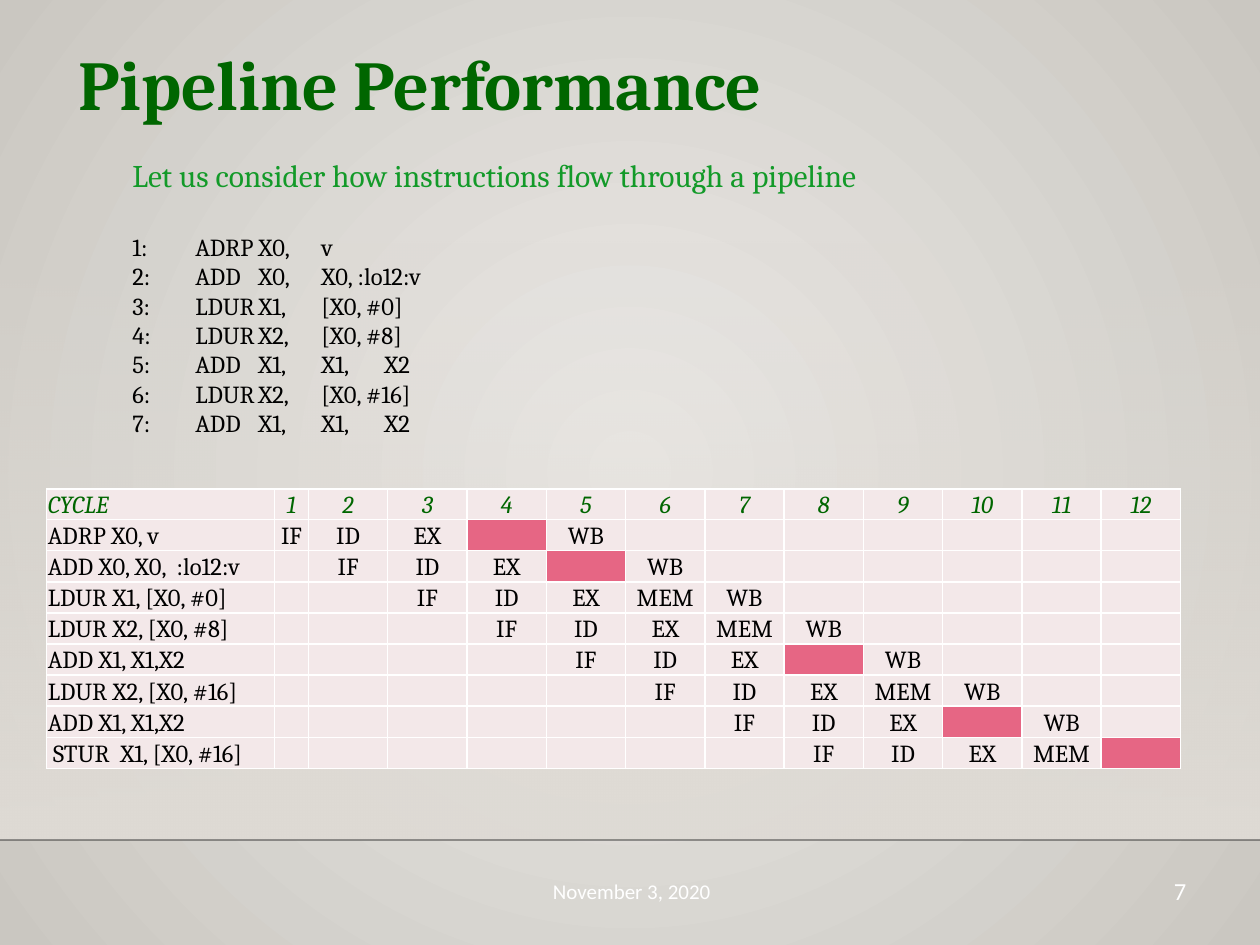
from lxml.etree import SubElement
from pptx import Presentation
from pptx.dml.color import RGBColor
from pptx.enum.shapes import MSO_CONNECTOR, MSO_SHAPE
from pptx.enum.text import MSO_ANCHOR, MSO_AUTO_SIZE, PP_ALIGN
from pptx.oxml import parse_xml
from pptx.oxml.ns import nsdecls, qn
from pptx.util import Pt

TITLE = "Pipeline Performance"
LEAD = "Let us consider how instructions flow through a pipeline"
CODE = [
    "1:\tADRP\tX0,\tv",
    "2:\tADD\tX0,\tX0, :lo12:v",
    "3:\tLDUR\tX1,\t[X0, #0]",
    "4:\tLDUR\tX2,\t[X0, #8]",
    "5:\tADD\tX1,\tX1,\tX2",
    "6:\tLDUR\tX2,\t[X0, #16]",
    "7:\tADD\tX1,\tX1,\tX2",
]
STAGES = ["IF", "ID", "EX", "MEM", "WB"]
FLOW = [
    ("ADRP X0, v", "MEM"),
    ("ADD X0, X0,  :lo12:v", "MEM"),
    ("LDUR X1, [X0, #0]", None),
    ("LDUR X2, [X0, #8]", None),
    ("ADD X1, X1,X2", "MEM"),
    ("LDUR X2, [X0, #16]", None),
    ("ADD X1, X1,X2", "MEM"),
    (" STUR  X1, [X0, #16]", "WB"),
]
DATE, PAGE = "November 3, 2020", "7"

THEME = {
    "serif": "Cambria", "sans": "Calibri",
    "dark": "006600", "green": "139A29", "ink": "000000", "white": "FFFFFF",
    "cell": "F3E8E9", "idle": "E66684", "rule": "000001",
    "glow": "ECEAE7", "edge": "CAC7C1", "haze": "DFDBD5",
    "head": 40, "lead": 18, "text": 14, "date": 12,
}
TABS = [36, 108, 144, 180]
WIDTHS = [130.3, 19.4] + [45.3] * 11
ROW = 17.5


def rgb(name):
    return RGBColor.from_string(THEME[name])


def put(para, text, size="text", color="ink", font="serif", bold=False,
        italic=False, align=PP_ALIGN.LEFT, before=0, tabs=()):
    props = para._p.get_or_add_pPr()
    props.set("marL", "0")
    props.set("indent", "0")
    SubElement(props, qn("a:buNone"))
    if tabs:
        stops = SubElement(props, qn("a:tabLst"))
        for stop in tabs:
            SubElement(stops, qn("a:tab"), pos=str(Pt(stop)), algn="l")
    para.alignment = align
    para.space_before = Pt(before)
    para.line_spacing = 1.0
    if not text:
        SubElement(para._p, qn("a:endParaRPr"), sz=str(THEME[size] * 100))
        return
    run = para.add_run()
    run.text = text
    face = run.font
    face.size, face.name = Pt(THEME[size]), THEME[font]
    face.bold, face.italic = bold, italic
    face.color.rgb = rgb(color)


def place(shape, left, top, width, height, anchor=MSO_ANCHOR.TOP):
    shape.left, shape.top = Pt(left), Pt(top)
    shape.width, shape.height = Pt(width), Pt(height)
    frame = shape.text_frame
    frame.word_wrap = True
    frame.auto_size = MSO_AUTO_SIZE.NONE
    frame.vertical_anchor = anchor
    return frame


def blend(fill, *names):
    fill.gradient()
    for stop, name in zip(fill.gradient_stops, names):
        stop.color.rgb = rgb(name)


def fade(color, share):
    SubElement(color, qn("a:alpha"), val=str(share * 1000))


def backdrop(slide):
    blend(slide.background.fill, "glow", "edge")
    lin = next(slide.element.iter(qn("a:lin")))
    lin.getparent().replace(lin, parse_xml(
        f'<a:path {nsdecls("a")} path="circle">'
        '<a:fillToRect l="50000" t="50000" r="50000" b="50000"/></a:path>'))
    haze = slide.shapes.add_shape(MSO_SHAPE.RECTANGLE, 0, Pt(137.5), Pt(720), Pt(342))
    haze.shadow.inherit = False
    haze.line.fill.background()
    blend(haze.fill, "haze", "haze")
    next(haze.element.iter(qn("a:lin"))).set("ang", "5400000")
    fade(next(haze.element.iter(qn("a:srgbClr"))), 0)
    back = [haze]
    for _ in range(2):
        rule = slide.shapes.add_connector(
            MSO_CONNECTOR.STRAIGHT, 0, Pt(480), Pt(720), Pt(480))
        rule.line.width = Pt(1)
        rule.line.color.rgb = rgb("rule")
        fade(next(rule.element.iter(qn("a:srgbClr"))), 20)
        SubElement(rule.element.spPr, qn("a:effectLst"))
        back.append(rule)
    tree = slide.shapes.element
    for shape in reversed(back):
        tree.insert(2, shape.element)


def paint(cell, text, fill="cell", **style):
    cell.margin_left = cell.margin_right = cell.margin_top = Pt(0.72)
    cell.margin_bottom = 0
    cell.vertical_anchor = MSO_ANCHOR.BOTTOM
    cell.fill.solid()
    cell.fill.fore_color.rgb = rgb(fill)
    for spot, side in enumerate("LRTB"):
        cell._tc.tcPr.insert(spot, parse_xml(
            f'<a:ln{side} {nsdecls("a")} w="{Pt(1)}"><a:solidFill>'
            f'<a:srgbClr val="{THEME["white"]}"/></a:solidFill></a:ln{side}>'))
    put(cell.text_frame.paragraphs[0], text, **style)


def chart(slide):
    rows, cols = len(FLOW) + 1, len(WIDTHS)
    grid = slide.shapes.add_table(
        rows, cols, Pt(26.6), Pt(279.4), Pt(sum(WIDTHS)), Pt(ROW * rows)).table
    for col, width in zip(grid.columns, WIDTHS):
        col.width = Pt(width)
    for row in grid.rows:
        row.height = Pt(ROW)
    for c in range(cols):
        paint(grid.cell(0, c), str(c) if c else "CYCLE", color="dark", italic=True,
              align=PP_ALIGN.CENTER if c else PP_ALIGN.LEFT)
    for r, (name, idle) in enumerate(FLOW, 1):
        paint(grid.cell(r, 0), name)
        for c in range(1, cols):
            stage = STAGES[c - r] if 0 <= c - r < len(STAGES) else ""
            rest = bool(stage) and stage == idle
            paint(grid.cell(r, c), "" if rest else stage,
                  fill="idle" if rest else "cell", align=PP_ALIGN.CENTER)


def main():
    deck = Presentation()
    deck.slide_width, deck.slide_height = Pt(720), Pt(540)
    slide = deck.slides.add_slide(deck.slide_layouts[1])
    backdrop(slide)

    head = place(slide.shapes.title, 37.4, 19.4, 650, 60)
    put(head.paragraphs[0], TITLE, size="head", color="dark", bold=True)

    body = place(slide.placeholders[1], 68.4, 85.7, 600.5, 170)
    put(body.paragraphs[0], LEAD, size="lead", color="green")
    for i, line in enumerate(CODE):
        put(body.add_paragraph(), line, before=0 if i else 21.5, tabs=TABS)

    chart(slide)

    for text, left, width, size, align in [
        (DATE, 247, 228, "date", PP_ALIGN.CENTER),
        (PAGE, 517, 168, "text", PP_ALIGN.RIGHT),
    ]:
        box = slide.shapes.add_textbox(0, 0, 0, 0)
        frame = place(box, left, 494.6, width, 28.8, MSO_ANCHOR.MIDDLE)
        put(frame.paragraphs[0], text, size=size, color="white", font="sans", align=align)

    deck.save("out.pptx")


if __name__ == "__main__":
    main()
